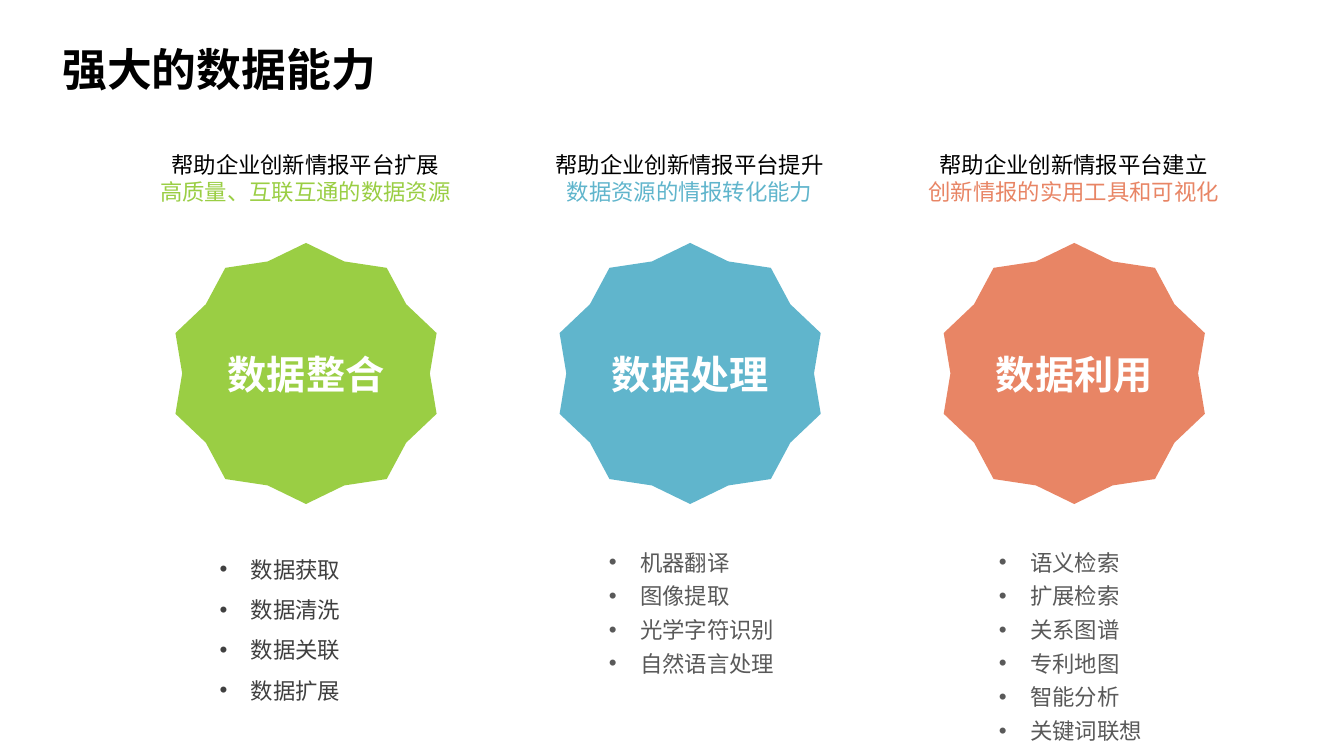
from lxml.etree import SubElement
from pptx import Presentation
from pptx.dml.color import RGBColor
from pptx.enum.shapes import MSO_SHAPE
from pptx.enum.text import MSO_ANCHOR, MSO_AUTO_SIZE, PP_ALIGN
from pptx.oxml.ns import qn
from pptx.util import Inches, Pt

BLACK = RGBColor(0x00, 0x00, 0x00)
WHITE = RGBColor(0xFF, 0xFF, 0xFF)
DARK_GRAY = RGBColor(0x40, 0x40, 0x40)
GRAY = RGBColor(0x59, 0x59, 0x59)
GREEN = RGBColor(0x9A, 0xCE, 0x44)
BLUE = RGBColor(0x60, 0xB5, 0xCC)
CORAL = RGBColor(0xE8, 0x85, 0x65)

PILLARS = [
    {"name": "数据整合", "color": GREEN,
     "caption": ["帮助企业创新情报平台扩展", "高质量、互联互通的数据资源"],
     "items": ["数据获取", "数据清洗", "数据关联", "数据扩展"],
     "list_inset": 0.65, "list_height": 1.72, "list_color": DARK_GRAY, "list_pitch": 28.8},
    {"name": "数据处理", "color": BLUE,
     "caption": ["帮助企业创新情报平台提升", "数据资源的情报转化能力"],
     "items": ["机器翻译", "图像提取", "光学字符识别", "自然语言处理"],
     "list_inset": 0.7, "list_height": 1.9, "list_color": GRAY, "list_pitch": 24},
    {"name": "数据利用", "color": CORAL,
     "caption": ["帮助企业创新情报平台建立", "创新情报的实用工具和可视化"],
     "items": ["语义检索", "扩展检索", "关系图谱", "专利地图", "智能分析", "关键词联想"],
     "list_inset": 0.76, "list_height": 2.1, "list_color": GRAY, "list_pitch": 24},
]


class SlideBuilder:
    font_name = "Noto Sans CJK SC"
    first_column, column_pitch = 1.43, 3.81
    rows = {"title": 0.33, "caption": 1.45, "star": 2.41, "list": 5.33}
    caption_width, caption_height = 3.2, 0.64
    star_size, star_inset = 2.59, 0.31
    list_width, bullet_indent = 2.86, 0.31

    def __init__(self, slide):
        self.slide = slide

    def place(self, column, row, inset, width, height):
        left = self.first_column + column * self.column_pitch + inset
        return [Inches(length) for length in (left, self.rows[row], width, height)]

    def fill_paragraph(self, paragraph, text, color, size, bold=False, **paragraph_format):
        for name, value in paragraph_format.items():
            setattr(paragraph, name, value)
        run = paragraph.add_run()
        run.text = text
        for name, value in {"name": self.font_name, "size": Pt(size), "bold": bold}.items():
            setattr(run.font, name, value)
        run.font.color.rgb = color
        SubElement(run.font._element, qn("a:ea"), typeface=self.font_name)

    def text_box(self, position, lines, size, pitch, bold=False,
                 alignment=PP_ALIGN.LEFT, bulleted=False):
        """Add (text, color) lines, with the line pitch in points."""
        frame = self.slide.shapes.add_textbox(*position).text_frame
        frame.word_wrap = True
        frame.auto_size = MSO_AUTO_SIZE.SHAPE_TO_FIT_TEXT
        for index, (text, color) in enumerate(lines):
            paragraph = frame.add_paragraph() if index else frame.paragraphs[0]
            if bulleted:
                self.add_bullet(paragraph)
            self.fill_paragraph(paragraph, text, color, size, bold,
                                alignment=alignment, line_spacing=Pt(pitch))

    def add_bullet(self, paragraph):
        properties = paragraph._p.get_or_add_pPr()
        indent = Inches(self.bullet_indent)
        properties.set("marL", str(indent))
        properties.set("indent", str(-indent))
        SubElement(properties, qn("a:buFont"), typeface="Arial")
        SubElement(properties, qn("a:buChar"), char="•")

    def title(self, text):
        position = self.place(0, "title", 0.52 - self.first_column, 4.29, 0.64)
        self.text_box(position, [(text, BLACK)], 32, 41, bold=True)

    def star(self, column, text, color):
        position = self.place(column, "star", self.star_inset, self.star_size, self.star_size)
        shape = self.slide.shapes.add_shape(MSO_SHAPE.STAR_10_POINT, *position)
        shape.adjustments[0] = 0.451
        shape.shadow.inherit = False
        shape.fill.solid()
        shape.fill.fore_color.rgb = color
        shape.line.fill.background()
        frame = shape.text_frame
        frame.vertical_anchor = MSO_ANCHOR.MIDDLE
        self.fill_paragraph(frame.paragraphs[0], text, WHITE, 28, True,
                            alignment=PP_ALIGN.CENTER)

    def pillar(self, column, pillar):
        caption_place = self.place(column, "caption", 0, self.caption_width, self.caption_height)
        caption = zip(pillar["caption"], (BLACK, pillar["color"]))
        self.text_box(caption_place, caption, 16, 19.3, alignment=PP_ALIGN.CENTER)
        self.star(column, pillar["name"], pillar["color"])
        list_place = self.place(column, "list", pillar["list_inset"],
                                self.list_width, pillar["list_height"])
        items = [(item, pillar["list_color"]) for item in pillar["items"]]
        self.text_box(list_place, items, 16, pillar["list_pitch"], bulleted=True)


def main():
    presentation = Presentation()
    presentation.slide_width = Inches(13.33)
    presentation.slide_height = Inches(7.5)
    builder = SlideBuilder(presentation.slides.add_slide(presentation.slide_layouts[6]))
    builder.title("强大的数据能力")
    for column, pillar in enumerate(PILLARS):
        builder.pillar(column, pillar)
    presentation.save("out.pptx")


if __name__ == "__main__":
    main()
